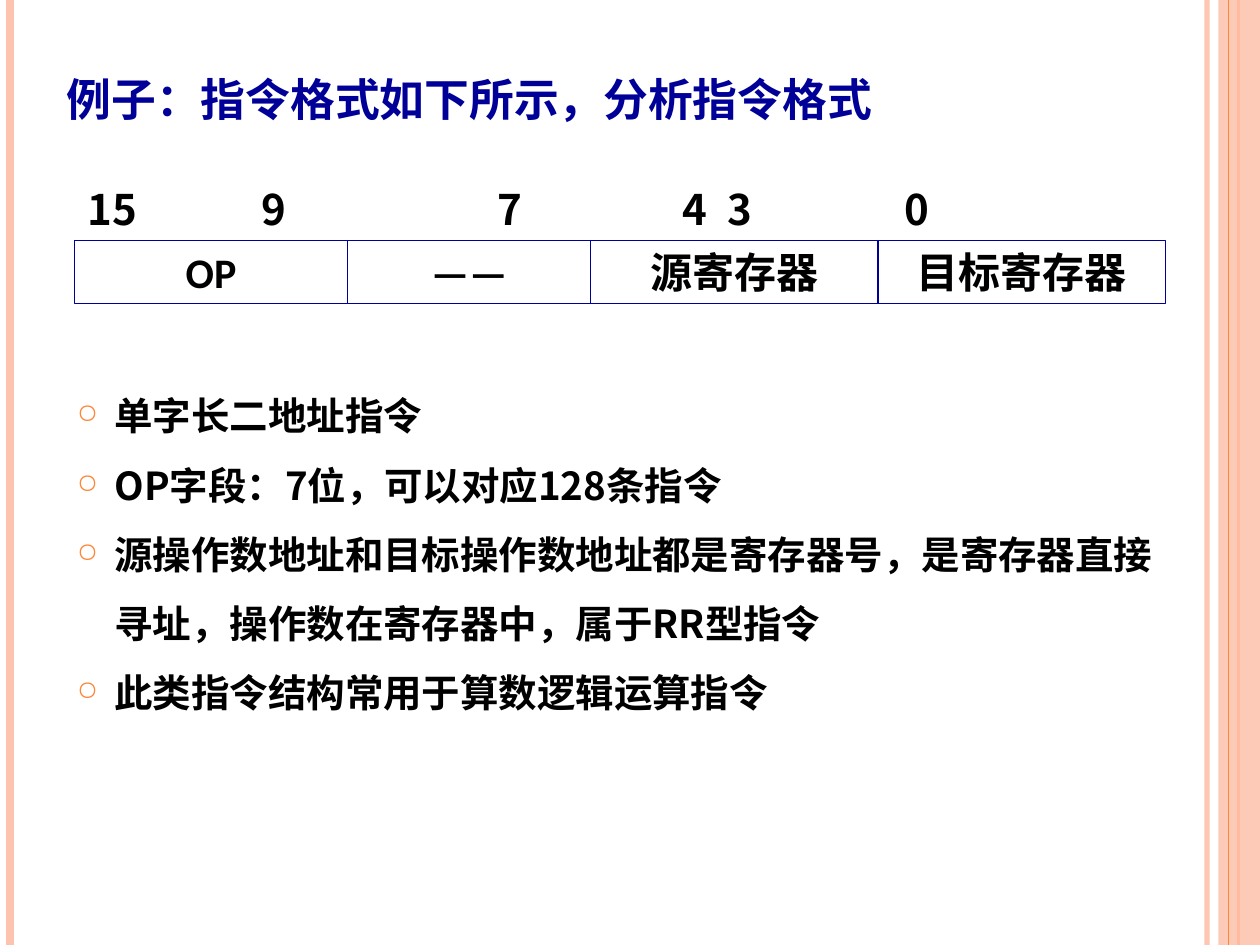
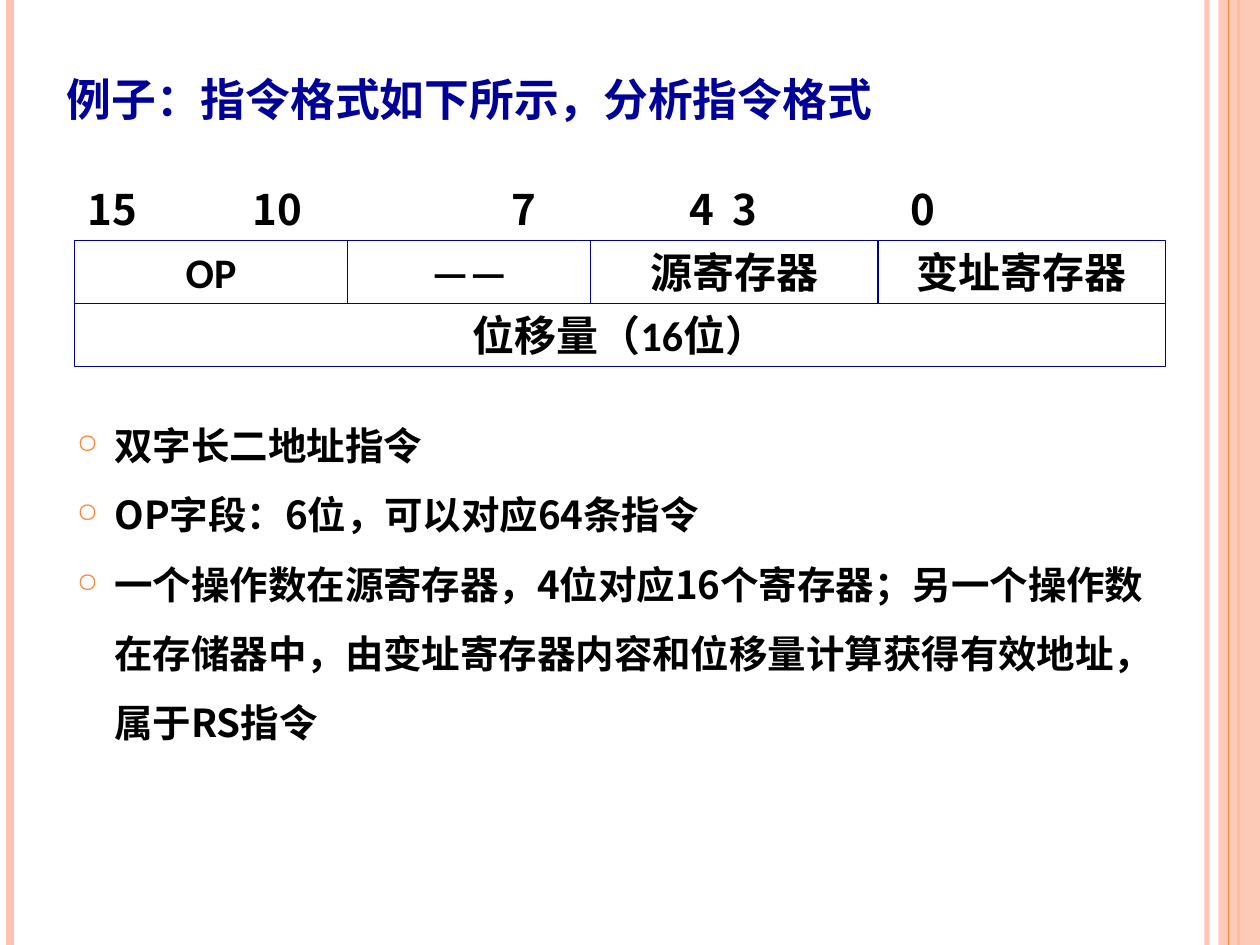
from dataclasses import dataclass

from lxml.etree import SubElement
from pptx import Presentation
from pptx.dml.color import RGBColor
from pptx.enum.shapes import MSO_CONNECTOR, MSO_SHAPE
from pptx.enum.text import MSO_ANCHOR, MSO_AUTO_SIZE, PP_ALIGN
from pptx.oxml.ns import qn
from pptx.util import Cm, Pt

NAVY = RGBColor(0x00, 0x00, 0x99)
BLACK = RGBColor(0x00, 0x00, 0x00)
PEACH = RGBColor(0xFE, 0xC3, 0xAE)
ORANGE = RGBColor(0xFE, 0x86, 0x37)

CJK_FONT = "Noto Sans CJK SC"
TITLE_FONT = {"name": CJK_FONT, "size": Pt(32), "bold": True}
BODY_FONT = {"name": CJK_FONT, "size": Pt(22), "bold": True}
BIT_FONT = {"name": CJK_FONT, "size": Pt(24), "bold": True}
FIELD_FONT = {"name": "Calibri", "size": Pt(24), "bold": True}

SLIDE_W, SLIDE_H = Cm(25.4), Cm(19.05)
FIELD_LEFT, FIELD_TOP, FIELD_H = Cm(1.5), Cm(4.85), Cm(1.27)
FIELD_WIDTHS = [Cm(5.51), Cm(4.9), Cm(5.79), Cm(5.79)]
BODY_BOTTOM = Cm(17.71)


@dataclass
class Rule:
    x: float
    width: float
    color: RGBColor
    opacity: int = 100


@dataclass
class Example:
    bits: list[str]
    bit_tabs: list[float]
    fields: list[str]
    second_word: str
    body_top: float
    points: list[str]


RULES = [
    Rule(24.33, 3, PEACH, 93),
    Rule(0.2, 4.5, PEACH),
    Rule(24.97, 1.5, ORANGE),
    Rule(24.77, 0.75, ORANGE),
]
TITLE = "例子：指令格式如下所示，分析指令格式"
EXAMPLES = [
    Example(
        ["15", "9", "7", "4", "3", "0"],
        [3.51, 8.25, 11.99, 12.9, 16.47],
        ["OP", "——", "源寄存器", "目标寄存器"],
        "",
        7.32,
        [
            "单字长二地址指令",
            "OP字段：7位，可以对应128条指令",
            "源操作数地址和目标操作数地址都是寄存器号，是寄存器直接寻址，"
            "操作数在寄存器中，属于RR型指令",
            "此类指令结构常用于算数逻辑运算指令",
        ],
    ),
    Example(
        ["15", "10", "7", "4", "3", "0"],
        [3.33, 8.55, 12.14, 13.0, 16.59],
        ["OP", "——", "源寄存器", "变址寄存器"],
        "位移量（16位）",
        7.92,
        [
            "双字长二地址指令",
            "OP字段：6位，可以对应64条指令",
            "一个操作数在源寄存器，4位对应16个寄存器；另一个操作数在存储器中，"
            "由变址寄存器内容和位移量计算获得有效地址，属于RS指令",
        ],
    ),
]


def add_text(p, text: str, font: dict, color: RGBColor = BLACK):
    r = p.add_run()
    r.text = text
    for name, value in font.items():
        setattr(r.font, name, value)
    r.font.color.rgb = color
    SubElement(r.font._element, qn("a:ea"), typeface=CJK_FONT)
    return r


def set_opacity(shape, percent: int) -> None:
    for clr in shape._element.spPr.iter(qn("a:srgbClr")):
        SubElement(clr, qn("a:alpha"), val=str(percent * 1000))


def add_rule(s, rule: Rule):
    line = s.shapes.add_connector(
        MSO_CONNECTOR.STRAIGHT, Cm(rule.x), 0, Cm(rule.x), SLIDE_H
    )
    line.line.color.rgb = rule.color
    line.line.width = Pt(rule.width)
    if rule.opacity < 100:
        set_opacity(line, rule.opacity)
    SubElement(line._element.spPr, qn("a:effectLst"))
    return line


def add_side_bands(s, layout) -> None:
    """Draw the side bands and move them to the layout shared by all slides."""
    rules = [add_rule(s, rule) for rule in RULES]
    left = Cm(24.56)
    band = s.shapes.add_shape(MSO_SHAPE.RECTANGLE, left, 0, SLIDE_W - left, SLIDE_H)
    band.shadow.inherit = False
    band.fill.solid()
    band.fill.fore_color.rgb = PEACH
    band.line.fill.background()
    set_opacity(band, 87)
    for shape in [*rules[:3], band, *rules[3:]]:
        layout.shapes.element.append(shape._element)


def set_title(s) -> None:
    title = s.shapes.title
    title.left, title.top, title.width, title.height = (
        Cm(1.09), Cm(0.81), Cm(22.61), Cm(1.9)
    )
    tf = title.text_frame
    tf.auto_size = MSO_AUTO_SIZE.NONE
    tf.vertical_anchor = MSO_ANCHOR.BOTTOM
    p = tf.paragraphs[0]
    p.alignment = PP_ALIGN.LEFT
    r = add_text(p, TITLE, TITLE_FONT, NAVY)
    r.font._element.set("cap", "small")


def add_bit_numbers(s, example: Example) -> None:
    box = s.shapes.add_textbox(Cm(1.52), Cm(3.58), Cm(21.97), FIELD_H)
    tf = box.text_frame
    tf.word_wrap = True
    tf.vertical_anchor = MSO_ANCHOR.MIDDLE
    p = tf.paragraphs[0]
    tabs = SubElement(p._p.get_or_add_pPr(), qn("a:tabLst"))
    for x in example.bit_tabs:
        SubElement(tabs, qn("a:tab"), pos=str(Cm(x)), algn="l")
    add_text(p, "\t".join(example.bits), BIT_FONT)


def add_field(s, text: str, left: int, top: int, width: int) -> None:
    field = s.shapes.add_shape(MSO_SHAPE.RECTANGLE, left, top, width, FIELD_H)
    field.shadow.inherit = False
    field.fill.background()
    field.line.color.rgb = NAVY
    field.line.width = Pt(0.75)
    tf = field.text_frame
    tf.vertical_anchor = MSO_ANCHOR.MIDDLE
    p = tf.paragraphs[0]
    p.alignment = PP_ALIGN.CENTER
    add_text(p, text, FIELD_FONT)


def add_instruction_format(s, example: Example) -> None:
    left = FIELD_LEFT
    for text, width in zip(example.fields, FIELD_WIDTHS):
        add_field(s, text, left, FIELD_TOP, width)
        left += width
    if example.second_word:
        add_field(s, example.second_word, FIELD_LEFT, FIELD_TOP + FIELD_H,
                  sum(FIELD_WIDTHS))


def add_points(s, example: Example) -> None:
    top = Cm(example.body_top)
    box = s.shapes.add_textbox(Cm(1.3), top, Cm(22.4), BODY_BOTTOM - top)
    tf = box.text_frame
    tf.word_wrap = True
    for i, text in enumerate(example.points):
        p = tf.add_paragraph() if i else tf.paragraphs[0]
        p.line_spacing = 1.5
        pPr = p._p.get_or_add_pPr()
        pPr.set("marL", str(Cm(0.76)))
        pPr.set("indent", str(-Cm(0.76)))
        color = SubElement(pPr, qn("a:buClr"))
        SubElement(color, qn("a:srgbClr"), val=str(ORANGE))
        SubElement(pPr, qn("a:buSzPct"), val="70000")
        SubElement(pPr, qn("a:buChar"), char="○")
        add_text(p, text, BODY_FONT)


def main() -> None:
    prs = Presentation()
    prs.slide_width, prs.slide_height = SLIDE_W, SLIDE_H
    layout = prs.slide_layouts.get_by_name("Title Only")
    for i, example in enumerate(EXAMPLES):
        s = prs.slides.add_slide(layout)
        if i == 0:
            add_side_bands(s, layout)
        set_title(s)
        add_points(s, example)
        add_instruction_format(s, example)
        add_bit_numbers(s, example)
    prs.save("out.pptx")


if __name__ == "__main__":
    main()
